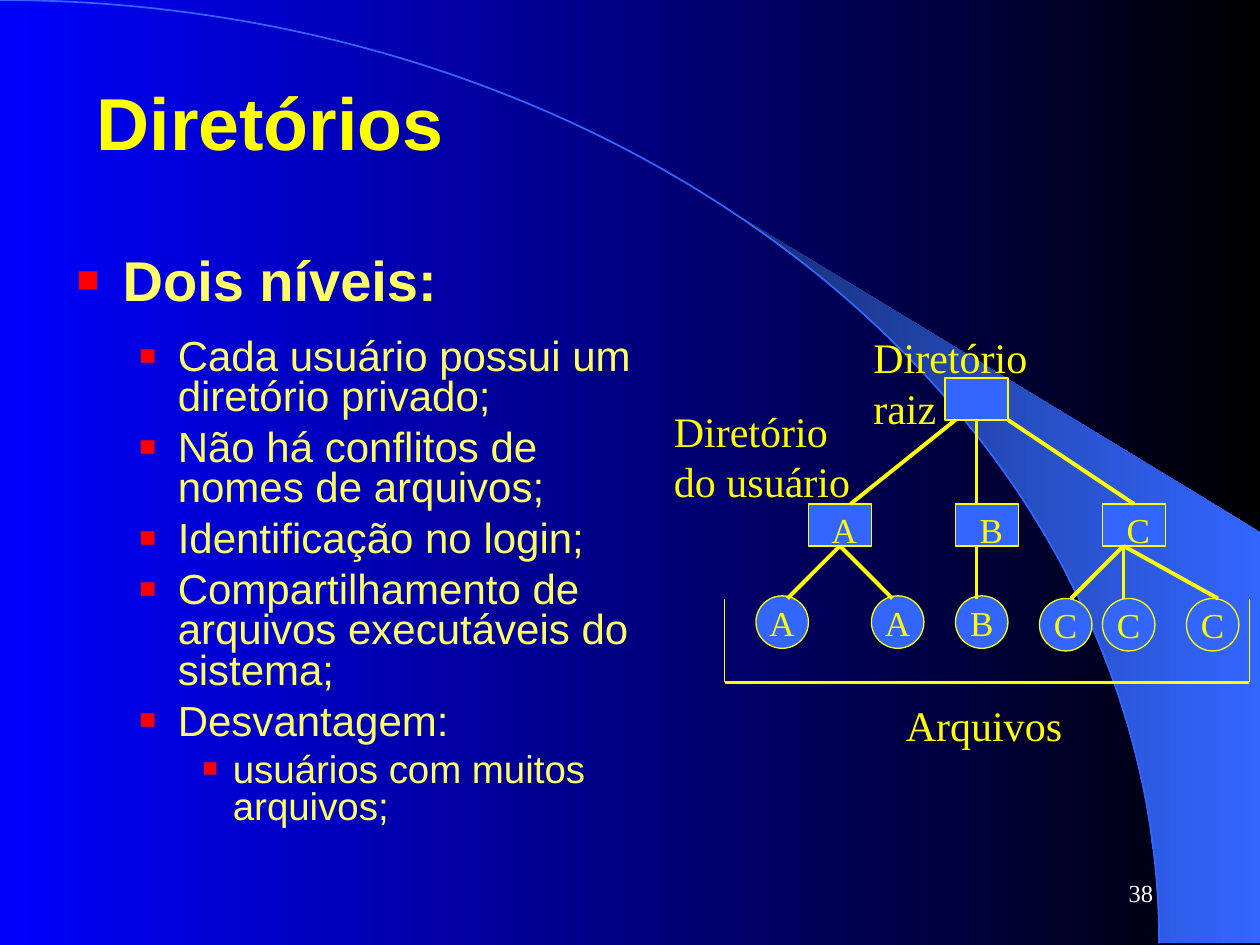
from math import asin, cos, pi, sin

from lxml import etree
from pptx import Presentation
from pptx.dml.color import RGBColor
from pptx.enum import shapes as kinds, text as txt
from pptx.oxml import ns
from pptx.util import Pt

THEME = {
    "blue": "3366FF", "deep": "172F75", "yellow": "FFFF00", "pale": "FFFF66",
    "red": "FF0000", "white": "FFFFFF", "black": "000000", "sky": "0000FF",
    "sans": "Arial", "serif": "Times New Roman",
    "title": 42, "label": 24, "node": 20, "number": 14,
    "levels": [32, 24, 22], "thin": 0.75, "arc": 1, "base": 1.5, "branch": 2.25,
}
WIDTH, HEIGHT = 720, 540

TITLE = "Diretórios"
TITLE_AT = (48, 24, 648, 90)
BODY_AT = (36, 144, 342, 360)
BODY = [
    (0, "Dois níveis:"),
    (1, "Cada usuário possui um diretório privado;"),
    (1, "Não há conflitos de nomes de arquivos;"),
    (1, "Identificação no login;"),
    (1, "Compartilhamento de arquivos executáveis do sistema;"),
    (1, "Desvantagem:"),
    (2, "usuários com muitos arquivos;"),
]
INDENTS = [(27, -27), (58.5, -22.5), (90, -18)]
SPACE_BEFORE = [0, 6, 5.5]
AFTER_HEADING = 15.5

LABELS = [
    (["Diretório raiz"], (492, 186, 144, 36)),
    (["Diretório", "do usuário"], (378, 228, 115, 65)),
    (["Arquivos"], (510.5, 396, 104, 36)),
]
NUMBER, NUMBER_AT = "38", (516, 492, 150, 36)

ROOT_LEFT, ROOT_TOP = 540, 216
USER_TOP, BOX_W, BOX_H, FILE_D = 288, 36, 24, 30
FILE_LINE_END = 342
USERS = [
    {"name": "A", "left": 462, "root_line": (546, 486), "stem": 480,
     "file_top": 340.5, "files": [(432, 450), (498, 510)]},
    {"name": "B", "left": 546, "root_line": (558, 558), "stem": 558,
     "file_top": 340.5, "files": [(546, 558)]},
    {"name": "C", "left": 630, "root_line": (576, 648), "stem": 642,
     "file_top": 342, "files": [(594, 612), (630, 642), (678, 696)]},
]
BRACKET_LEFT, BRACKET_RIGHT, BRACKET_TOP, BRACKET_BASE = 414, 714, 342, 390

ARC_RX, ARC_RY = 662.4, 539
SWOOSH_TOP, SWOOSH_RIGHT, SWOOSH_CORNER = 124.5, 719.5, 304.5
SWOOSH_STEPS = 40


def rgb(name):
    return RGBColor.from_string(THEME[name])


def assign(target, values):
    for key, value in values.items():
        setattr(target, key, value)


def gradient(fill, start, end):
    fill.gradient()
    fill.gradient_angle = 180
    for stop, name, position in zip(fill.gradient_stops, (start, end), (0, 1)):
        assign(stop, {"position": position})
        stop.color.rgb = rgb(name)


def style(paragraph, size, color, face, bold=False):
    assign(paragraph.font, {"size": Pt(size), "name": THEME[face], "bold": bold})
    paragraph.font.color.rgb = rgb(color)


def place(part, at):
    assign(part, dict(zip(("left", "top", "width", "height"), map(Pt, at))))


def text_box(slide, at, wrap):
    frame = slide.shapes.add_textbox(*map(Pt, at)).text_frame
    frame.word_wrap = wrap
    return frame


def add_bullet(paragraph):
    props = paragraph._p.get_or_add_pPr()
    color = etree.SubElement(props, ns.qn("a:buClr"))
    etree.SubElement(color, ns.qn("a:srgbClr"), val=THEME["red"])
    etree.SubElement(props, ns.qn("a:buSzPct"), val="130000")
    etree.SubElement(props, ns.qn("a:buFont"), typeface=THEME["sans"])
    etree.SubElement(props, ns.qn("a:buChar"), char="▪")


def add_line(slide, start, end, weight):
    line = slide.shapes.add_connector(
        kinds.MSO_CONNECTOR.STRAIGHT, *map(Pt, (*start, *end)))
    line.line.color.rgb = rgb("yellow")
    line.line.width = Pt(weight)
    etree.SubElement(line._element.spPr, ns.qn("a:effectLst"))
    return line


def add_node(slide, kind, at, name="", shift=0):
    node = slide.shapes.add_shape(kind, *map(Pt, at))
    node.shadow.inherit = False
    node.fill.solid()
    node.fill.fore_color.rgb = rgb("blue")
    node.line.color.rgb = rgb("yellow")
    node.line.width = Pt(THEME["thin"])
    if name:
        frame = node.text_frame
        assign(frame, {
            "margin_left": Pt(shift), "margin_top": Pt(shift), "margin_right": 0,
            "margin_bottom": 0, "word_wrap": False,
            "vertical_anchor": txt.MSO_ANCHOR.MIDDLE})
        label = frame.paragraphs[0]
        assign(label, {"text": name, "alignment": txt.PP_ALIGN.CENTER})
        style(label, THEME["node"], "yellow", "serif")
    return node


def draw_backdrop(slide):
    gradient(slide.background.fill, "black", "sky")
    first = asin((ARC_RY - SWOOSH_TOP) / ARC_RY)
    angles = [first * step / SWOOSH_STEPS for step in range(SWOOSH_STEPS, -1, -1)]
    edge = [(ARC_RX * cos(a), ARC_RY * (1 - sin(a))) for a in angles]
    outline = edge[1:] + [(SWOOSH_RIGHT, ARC_RY), (SWOOSH_RIGHT, SWOOSH_CORNER)]
    builder = slide.shapes.build_freeform(*edge[0], scale=Pt(1))
    builder.add_line_segments(outline, close=True)
    swoosh = builder.convert_to_shape()
    swoosh.shadow.inherit = False
    gradient(swoosh.fill, "blue", "deep")
    swoosh.line.fill.background()
    arc = slide.shapes.add_shape(
        kinds.MSO_SHAPE.ARC, *map(Pt, (-ARC_RX, 0, 2 * ARC_RX, 2 * ARC_RY)))
    arc.shadow.inherit = False
    arc.fill.background()
    arc.line.color.rgb = rgb("blue")
    arc.line.width = Pt(THEME["arc"])


def write_title(slide):
    title = slide.shapes.title
    place(title, TITLE_AT)
    assign(title.text_frame, {
        "text": TITLE, "word_wrap": True, "auto_size": txt.MSO_AUTO_SIZE.NONE,
        "vertical_anchor": txt.MSO_ANCHOR.MIDDLE})
    heading = title.text_frame.paragraphs[0]
    heading.alignment = txt.PP_ALIGN.LEFT
    style(heading, THEME["title"], "yellow", "sans", True)


def write_body(slide):
    frame = text_box(slide, BODY_AT, True)
    for index, (level, words) in enumerate(BODY):
        item = frame.add_paragraph() if index else frame.paragraphs[0]
        add_bullet(item)
        space = AFTER_HEADING if index == 1 else SPACE_BEFORE[level]
        assign(item, {"text": words, "level": level, "line_spacing": 0.8,
                      "space_before": Pt(space)})
        margin, hanging = INDENTS[level]
        props = item._p.get_or_add_pPr()
        props.set("marL", str(Pt(margin)))
        props.set("indent", str(Pt(hanging)))
        style(item, THEME["levels"][level], "pale", "sans", level == 0)


def draw_tree(slide):
    box, circle = kinds.MSO_SHAPE.RECTANGLE, kinds.MSO_SHAPE.OVAL
    root = add_node(slide, box, (ROOT_LEFT, ROOT_TOP, BOX_W, BOX_H))
    for user in USERS:
        folder = add_node(
            slide, box, (user["left"], USER_TOP, BOX_W, BOX_H), user["name"], 5)
        start, end = user["root_line"]
        branch = add_line(
            slide, (start, ROOT_TOP + BOX_H), (end, USER_TOP), THEME["branch"])
        if start == ROOT_LEFT + BOX_W / 2:
            branch.begin_connect(root, 2)
        middle = user["left"] + BOX_W / 2
        if end == middle:
            branch.end_connect(folder, 0)
        for left, tip in user["files"]:
            add_node(slide, circle, (left, user["file_top"], FILE_D, FILE_D),
                     user["name"])
            twig = add_line(slide, (user["stem"], USER_TOP + BOX_H),
                            (tip, FILE_LINE_END), THEME["branch"])
            if user["stem"] == middle:
                twig.begin_connect(folder, 2)
    add_line(slide, (BRACKET_LEFT, BRACKET_BASE), (BRACKET_RIGHT, BRACKET_BASE),
             THEME["base"])
    for side in (BRACKET_LEFT, BRACKET_RIGHT):
        add_line(slide, (side, BRACKET_BASE), (side, BRACKET_TOP), THEME["thin"])


def write_labels(slide):
    for lines, at in LABELS:
        frame = text_box(slide, at, False)
        frame.text = "\n".join(lines)
        for line in frame.paragraphs:
            style(line, THEME["label"], "yellow", "serif")
    frame = text_box(slide, NUMBER_AT, True)
    frame.vertical_anchor = txt.MSO_ANCHOR.MIDDLE
    number = frame.paragraphs[0]
    assign(number, {"text": NUMBER, "alignment": txt.PP_ALIGN.RIGHT})
    style(number, THEME["number"], "white", "serif")


def main():
    deck = Presentation()
    assign(deck, {"slide_width": Pt(WIDTH), "slide_height": Pt(HEIGHT)})
    slide = deck.slides.add_slide(deck.slide_layouts[5])
    for draw in (draw_backdrop, write_title, write_body, draw_tree, write_labels):
        draw(slide)
    deck.save("out.pptx")


if __name__ == "__main__":
    main()
